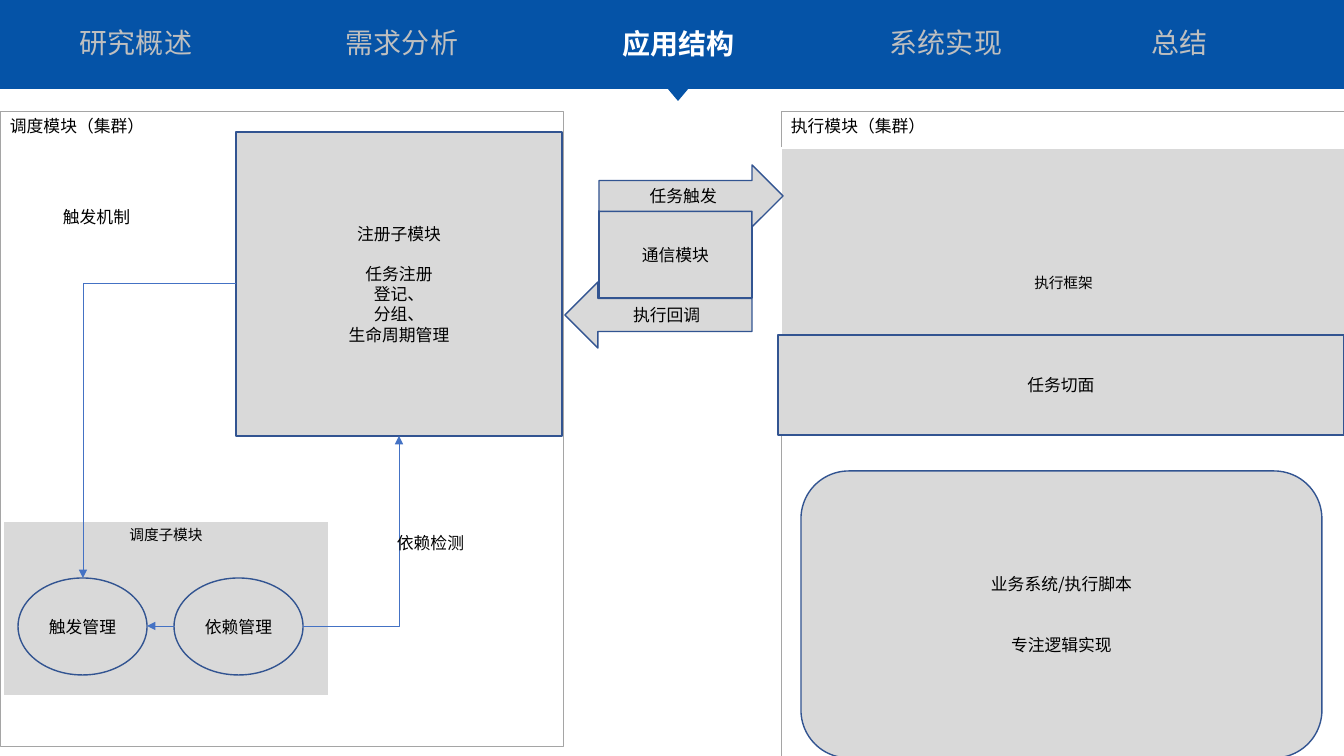
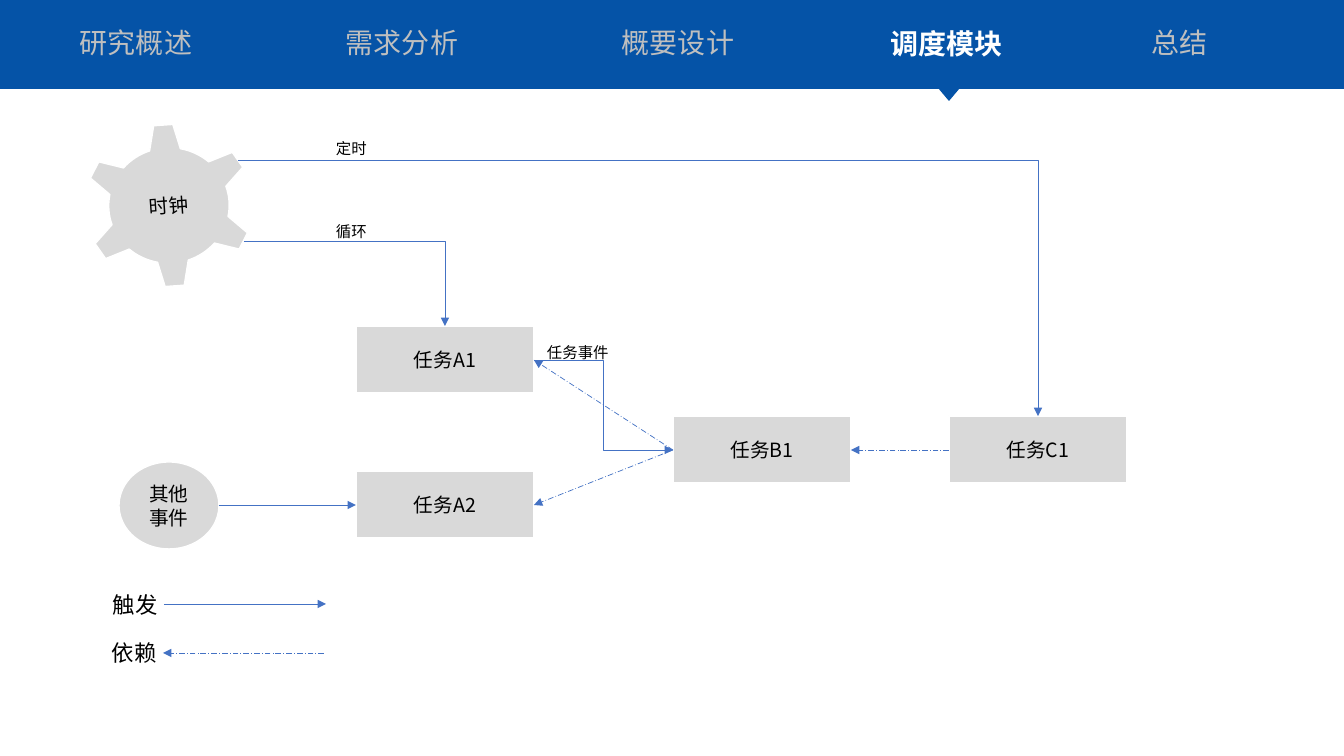
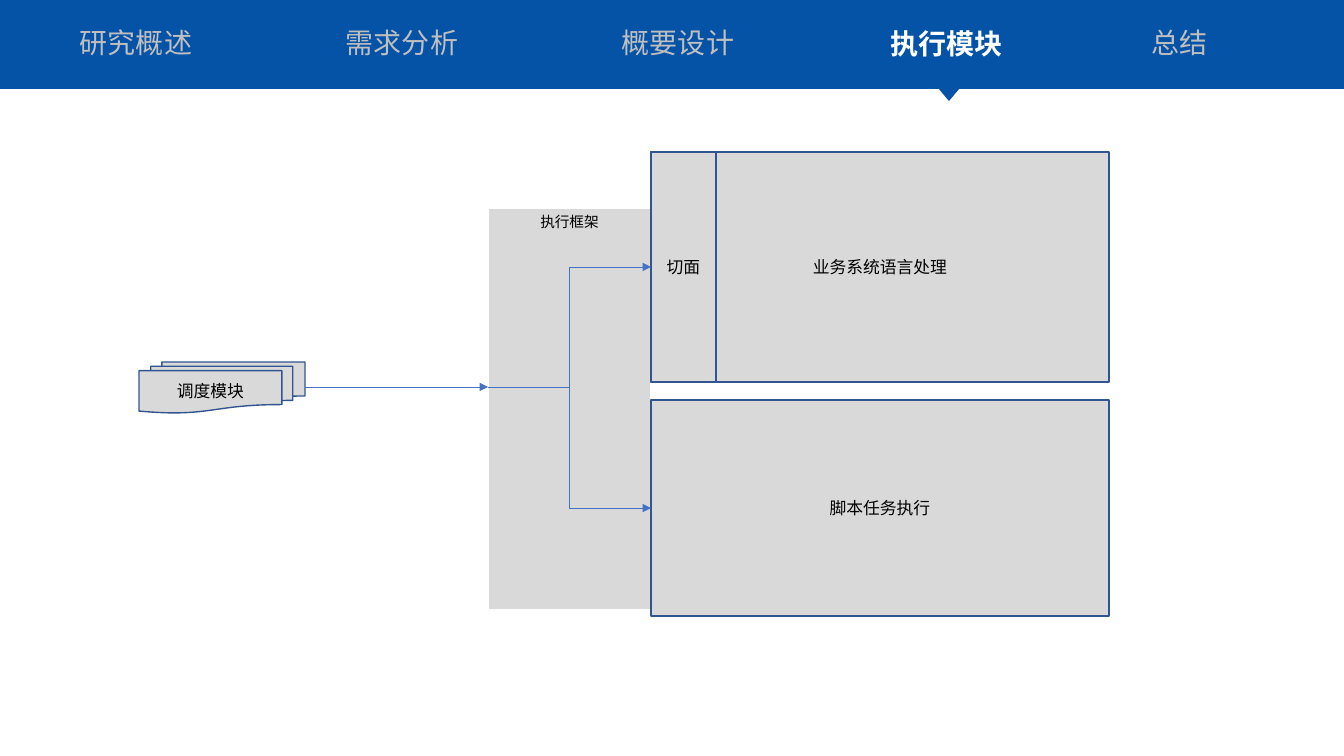
"""Build three slides on the structure of a task scheduling system."""
from lxml import etree
from pptx import Presentation
from pptx import util as u
from pptx.dml.color import RGBColor
from pptx.enum import dml, shapes, text
from pptx.oxml import ns

PX = 914400 / 100.8
WIDTH, HEIGHT = 1344, 756
FONT = "Noto Sans CJK SC"
BLUE = RGBColor(0x05, 0x53, 0xA7)
EDGE = RGBColor(0x32, 0x54, 0x91)
ARROW = RGBColor(0x44, 0x72, 0xC4)
GREY = RGBColor(0xD9, 0xD9, 0xD9)
FRAME = RGBColor(0xA5, 0xA5, 0xA5)
MUTED = RGBColor(0xBF, 0xBF, 0xBF)
WHITE = RGBColor(0xFF, 0xFF, 0xFF)
BLACK = RGBColor(0x00, 0x00, 0x00)
TABS = ((70, 181), (336, 258), (612, 134), (880, 258), (1142, 202))
MIDDLE, TOP = text.MSO_ANCHOR.MIDDLE, text.MSO_ANCHOR.TOP
LEFT, CENTER = text.PP_ALIGN.LEFT, text.PP_ALIGN.CENTER
KIND = shapes.MSO_SHAPE


def px(*lengths):
    return [u.Emu(round(length * PX)) for length in lengths]


class Deck:
    """Holds the shared style and the current slide."""

    def __init__(self):
        self.prs = Presentation()
        self.prs.slide_width, self.prs.slide_height = px(WIDTH, HEIGHT)
        self.slide = None

    def new_slide(self):
        self.slide = self.prs.slides.add_slide(self.prs.slide_layouts[5])

    def set_text(self, frame, words, size, color=BLACK, align=LEFT, anchor=TOP,
                 bold=False, gaps=None):
        frame.vertical_anchor = anchor
        frame.text = words
        for index, paragraph in enumerate(frame.paragraphs):
            paragraph.alignment = align
            paragraph.line_spacing = u.Pt(size * 1.2)
            paragraph.space_before = u.Pt(size * 1.2 * (gaps or {}).get(index, 0))
            font = paragraph.font
            font.size, font.bold, font.name = u.Pt(size), bold, FONT
            font.color.rgb = color
            defaults = paragraph._p.pPr.find(ns.qn("a:defRPr"))
            etree.SubElement(defaults, ns.qn("a:ea"), typeface=FONT)

    def box(self, at, words="", kind=KIND.RECTANGLE, size=12, fill=GREY, edge=EDGE,
            weight=1, align=CENTER, anchor=MIDDLE, gaps=None, bottom=5, turn=0):
        shape = self.slide.shapes.add_shape(kind, *px(*at))
        shape.shadow.inherit = False
        shape.rotation = turn
        if fill is None:
            shape.fill.background()
        else:
            shape.fill.solid()
            shape.fill.fore_color.rgb = fill
        if edge is None:
            shape.line.fill.background()
        else:
            shape.line.color.rgb = edge
            shape.line.width = u.Pt(weight)
        if words:
            shape.text_frame.margin_bottom = px(bottom)[0]
            self.set_text(shape.text_frame, words, size, align=align, anchor=anchor, gaps=gaps)

    def frame(self, at, words):
        self.box(at, words, fill=None, edge=FRAME, weight=0.5, align=LEFT, anchor=TOP)

    def label(self, at, words, size, color=BLACK, wrap=False):
        frame = self.slide.shapes.add_textbox(*px(*at)).text_frame
        frame.word_wrap = wrap
        self.set_text(frame, words, size, color)

    def arrow(self, start, end, bends=0, dashed=False):
        route = shapes.MSO_CONNECTOR.ELBOW if bends else shapes.MSO_CONNECTOR.STRAIGHT
        link = self.slide.shapes.add_connector(route, *px(*start, *end))
        link.line.color.rgb = ARROW
        link.line.width = u.Pt(0.5)
        if dashed:
            link.line.dash_style = dml.MSO_LINE.LONG_DASH_DOT
        props = link.element.spPr
        if bends == 1:
            props.find(ns.qn("a:prstGeom")).set("prst", "bentConnector2")
        etree.SubElement(props.find(ns.qn("a:ln")), ns.qn("a:tailEnd"), type="triangle")
        etree.SubElement(props, ns.qn("a:effectLst"))

    def navigation(self, names, active, marker):
        self.box((0, 0, WIDTH, 89), fill=BLUE, edge=None)
        for index, (name, (left, width)) in enumerate(zip(names, TABS)):
            if index == active:
                self.title((left, 21, width, 44), name)
            else:
                self.label((left, 21, width, 44), name, 20, MUTED, wrap=True)
        self.box((marker, 82, 32, 19), kind=KIND.ISOSCELES_TRIANGLE, fill=BLUE,
                 edge=None, turn=180)

    def title(self, at, words):
        title = self.slide.shapes.title
        title.left, title.top, title.width, title.height = px(*at)
        title.text_frame.auto_size = text.MSO_AUTO_SIZE.NONE
        title.text_frame.word_wrap = True
        self.set_text(title.text_frame, words, 20, WHITE, bold=True)
        title.element.getparent().append(title.element)


def structure_slide(deck):
    deck.new_slide()
    deck.box((599, 211, 153, 87), "通信模块")
    deck.frame((0, 111, 563, 635), "调度模块（集群）")
    deck.frame((781, 111, 563, 647), "执行模块（集群）")
    deck.box((781, 148, 565, 287), "执行框架", size=10.5, edge=WHITE, bottom=23)
    deck.box((236, 132, 326, 304), "注册子模块\n任务注册\n登记、\n分组、\n生命周期管理", gaps={1: 1})
    deck.box((778, 335, 566, 100), "任务切面")
    deck.box((801, 471, 521, 287), "业务系统/执行脚本\n专注逻辑实现",
             KIND.ROUNDED_RECTANGLE, gaps={1: 2})
    deck.box((3, 521, 326, 175), "调度子模块", size=10.5, edge=WHITE, anchor=TOP)
    for left, manager in ((18, "触发管理"), (174, "依赖管理")):
        deck.box((left, 578, 129, 97), manager, KIND.OVAL)
    deck.arrow((236, 283), (83, 578), bends=1)
    deck.label((53, 202, 89, 30), "触发机制", 12)
    deck.arrow((303, 626), (399, 436), bends=1)
    deck.label((387, 528, 89, 30), "依赖检测", 12)
    deck.arrow((174, 626), (147, 626))
    deck.box((599, 165, 184, 62), "任务触发", KIND.RIGHT_ARROW)
    deck.box((565, 282, 187, 66), "执行回调", KIND.LEFT_ARROW)
    deck.navigation(("研究概述", "需求分析", "应用结构", "系统实现", "总结"), 2, 662)


def scheduling_slide(deck):
    deck.new_slide()
    deck.box((84, 123, 170, 165), "时钟", KIND.GEAR_6, 14, edge=WHITE, turn=-4.1)
    for left, top, task in ((356, 326, "任务A1"), (356, 471, "任务A2"),
                            (673, 416, "任务B1"), (949, 416, "任务C1")):
        deck.box((left, top, 178, 67), task, size=14, edge=WHITE)
    deck.box((119, 462, 100, 87), "其他\n事件", KIND.OVAL, 14, edge=WHITE)
    deck.arrow((244, 241), (445, 326), bends=1)
    deck.arrow((238, 160), (1038, 416), bends=1)
    deck.arrow((534, 360), (673, 450), bends=2)
    deck.arrow((219, 505), (356, 505))
    for start, end in (((673, 450), (534, 360)), ((673, 450), (534, 505)),
                       ((949, 450), (851, 450))):
        deck.arrow(start, end, dashed=True)
    deck.arrow((164, 604), (326, 604))
    deck.arrow((324, 653), (163, 653), dashed=True)
    for left, top, meaning in ((103, 586, "触发"), (102, 634, "依赖")):
        deck.label((left, top, 66, 37), meaning, 16)
    for left, top, width, event in ((326, 134, 51, "定时"), (326, 217, 51, "循环"),
                                    (537, 338, 83, "任务事件")):
        deck.label((left, top, width, 29), event, 11)
    deck.navigation(("研究概述", "需求分析", "概要设计", "调度模块", "总结"), 3, 933)


def execution_slide(deck):
    deck.new_slide()
    deck.box((488, 208, 163, 402), "执行框架", size=10.5, edge=WHITE, anchor=TOP)
    deck.box((139, 362, 166, 51), "调度模块", KIND.FLOWCHART_MULTIDOCUMENT)
    deck.arrow((305, 387), (488, 387))
    deck.box((651, 152, 458, 230), "业务系统语言处理")
    deck.box((651, 400, 458, 216), "脚本任务执行")
    deck.box((651, 152, 65, 230), "切面")
    for middle in (267, 508):
        deck.arrow((488, 387), (651, middle), bends=2)
    deck.navigation(("研究概述", "需求分析", "概要设计", "执行模块", "总结"), 3, 933)


deck = Deck()
structure_slide(deck)
scheduling_slide(deck)
execution_slide(deck)
deck.prs.save("out.pptx")
